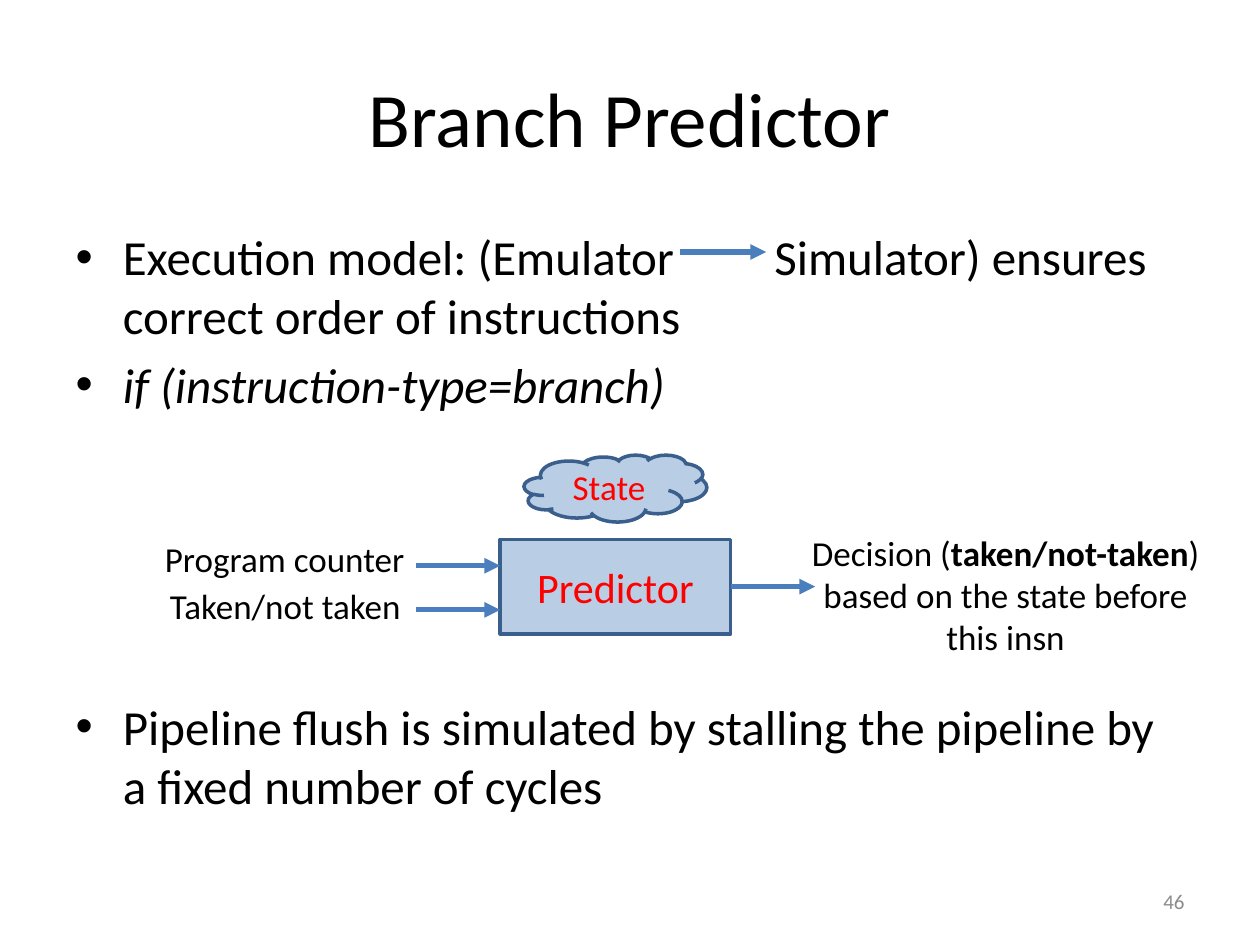
from lxml.etree import SubElement
from pptx import Presentation
from pptx.dml.color import RGBColor
from pptx.enum.shapes import MSO_CONNECTOR, MSO_SHAPE
from pptx.enum.text import MSO_ANCHOR, MSO_AUTO_SIZE, PP_ALIGN
from pptx.oxml.ns import qn
from pptx.util import Pt

BLACK, RED, GREY = "000000", "FF0000", "8C8C8C"
ARROW_BLUE, BOX_FILL, BOX_EDGE = "4B7EBC", "B9CDE5", "3A5F8C"


def color(hex_string):
    return RGBColor.from_string(hex_string)


def place(shape, left, top, width, height):
    shape.left, shape.top = Pt(left), Pt(top)
    shape.width, shape.height = Pt(width), Pt(height)


def style(paragraph, size, hex_color=BLACK, align=None):
    paragraph.font.name = "Calibri"
    paragraph.font.size = Pt(size)
    paragraph.font.color.rgb = color(hex_color)
    if align is not None:
        paragraph.alignment = align


def add_title(slide, text):
    title = slide.shapes.title
    place(title, 36, 21.6, 648, 90)
    title.text_frame.text = text
    title.text_frame.vertical_anchor = MSO_ANCHOR.MIDDLE
    style(title.text_frame.paragraphs[0], 44, align=PP_ALIGN.CENTER)


def add_bullets(slide):
    body = slide.placeholders[1]
    place(body, 36, 126, 648, 356.4)
    frame = body.text_frame
    frame.auto_size = MSO_AUTO_SIZE.NONE

    # The widened space leaves room for the inline arrow
    model = frame.paragraphs[0]
    model.add_run().text = "Execution model: (Emulator"
    gap = model.add_run()
    gap.text = " "
    gap.font._element.set("spc", "5100")
    model.add_run().text = "Simulator) ensures correct order of instructions"

    condition = frame.add_paragraph()
    condition.text = "if (instruction-type=branch)"
    condition.font.italic = True

    # The space before the last bullet holds the diagram
    flush = frame.add_paragraph()
    flush.text = ("Pipeline flush is simulated by stalling the pipeline by "
                  "a fixed number of cycles")

    for paragraph, space in ((model, 0), (condition, 5.6), (flush, 162)):
        paragraph.space_before = Pt(space)
        style(paragraph, 28)


def add_node(slide, preset, box, text, size):
    node = slide.shapes.add_shape(preset, *map(Pt, box))
    node.shadow.inherit = False
    node.fill.solid()
    node.fill.fore_color.rgb = color(BOX_FILL)
    node.line.color.rgb = color(BOX_EDGE)
    node.line.width = Pt(2)
    node.text_frame.text = text
    node.text_frame.vertical_anchor = MSO_ANCHOR.MIDDLE
    style(node.text_frame.paragraphs[0], size, RED, PP_ALIGN.CENTER)
    return node


def add_arrow(slide, start, end, y):
    arrow = slide.shapes.add_connector(
        MSO_CONNECTOR.STRAIGHT, Pt(start), Pt(y), Pt(end), Pt(y))
    arrow.line.color.rgb = color(ARROW_BLUE)
    arrow.line.width = Pt(3)
    SubElement(arrow.line._get_or_add_ln(), qn("a:tailEnd"), type="triangle")
    SubElement(arrow._element.spPr, qn("a:effectLst"))
    return arrow


def add_label(slide, box, lines, size=20, hex_color=BLACK,
              align=PP_ALIGN.LEFT, wrap=True, anchor=MSO_ANCHOR.TOP):
    """Each line is a list of (text, bold) runs."""
    frame = slide.shapes.add_textbox(*map(Pt, box)).text_frame
    frame.word_wrap = wrap
    frame.vertical_anchor = anchor
    for index, runs in enumerate(lines):
        paragraph = frame.add_paragraph() if index else frame.paragraphs[0]
        for text, bold in runs:
            run = paragraph.add_run()
            run.text = text
            if bold:
                run.font.bold = True
        style(paragraph, size, hex_color, align)


def main():
    deck = Presentation()
    deck.slide_width, deck.slide_height = Pt(720), Pt(540)
    slide = deck.slides.add_slide(deck.slide_layouts[1])

    add_title(slide, "Branch Predictor")
    add_bullets(slide)
    add_arrow(slide, 388.8, 437.8, 144)  # emulator to simulator

    # Predictor and its state
    predictor = add_node(slide, MSO_SHAPE.RECTANGLE, (285.8, 308.2, 131.8, 54),
                         "Predictor", 24)
    add_node(slide, MSO_SHAPE.CLOUD, (299.5, 260, 104.4, 38.2), "State", 20)

    # Inputs
    inputs = (("Program counter", (87.1, 303.8, 152.6, 31.7), 323.3),
              ("Taken/not taken", (90, 330.5, 147.6, 31.7), 348.5))
    for text, box, arrow_y in inputs:
        add_label(slide, box, [[(text, False)]], wrap=False)
        add_arrow(slide, 238, 285.8, arrow_y)

    # Output
    output = add_arrow(slide, 417.6, 465.8, 335.2)
    output.begin_connect(predictor, 3)
    add_label(slide, (445.7, 300.2, 257.8, 79.9),
              [[("Decision (", False), ("taken/not-taken", True), (")", False)],
               [("based on the state before", False)],
               [("this insn", False)]],
              align=PP_ALIGN.CENTER)

    # Slide number
    add_label(slide, (516, 500.4, 168, 28.8), [[("46", False)]], 12, GREY,
              PP_ALIGN.RIGHT, anchor=MSO_ANCHOR.MIDDLE)

    deck.save("out.pptx")


if __name__ == "__main__":
    main()
